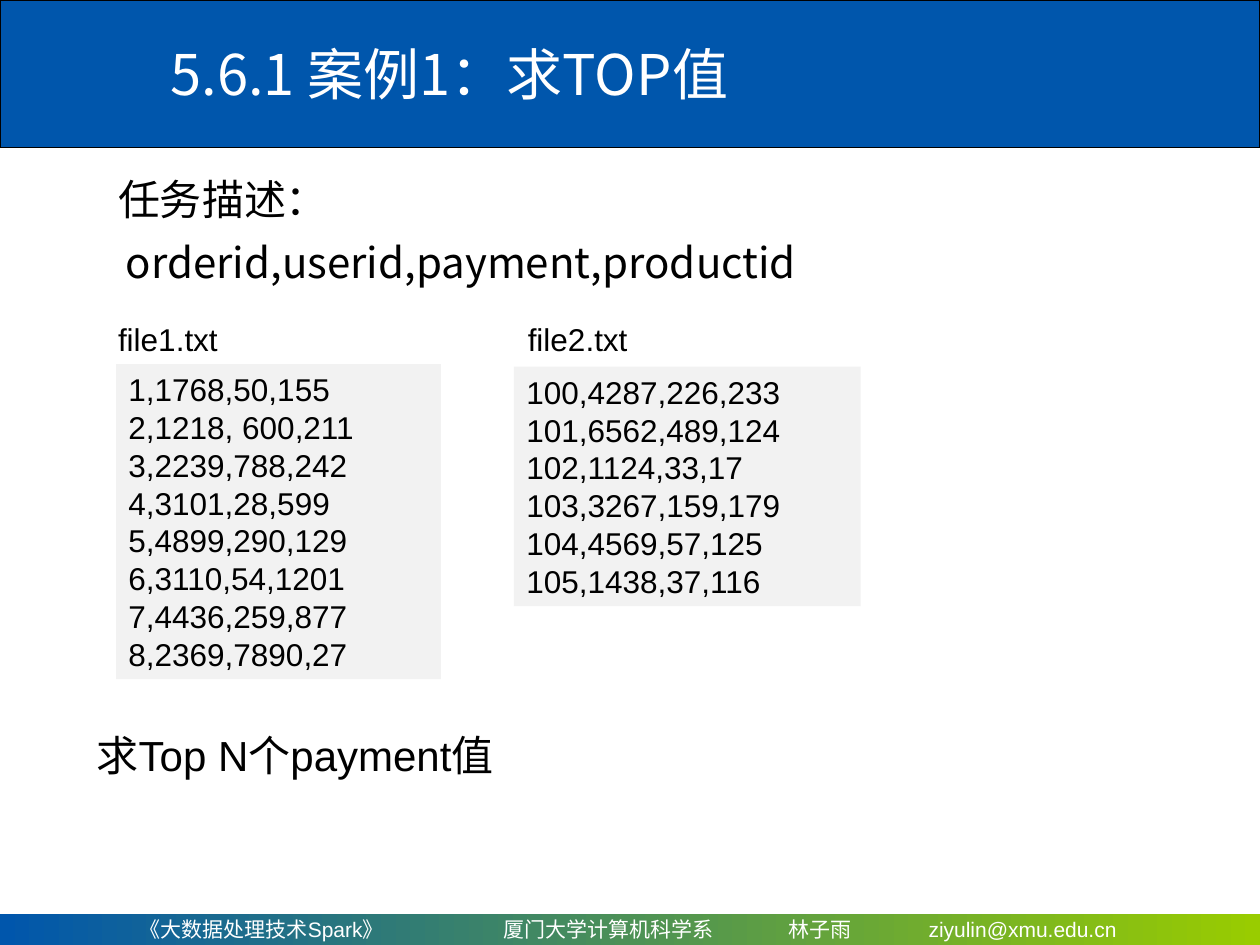
import dataclasses

import lxml.etree
import pptx
import pptx.dml.color
import pptx.enum.dml
import pptx.enum.shapes
import pptx.enum.text
import pptx.oxml.ns
import pptx.util

Cm = pptx.util.Cm
Pt = pptx.util.Pt
RGBColor = pptx.dml.color.RGBColor
Anchor = pptx.enum.text.MSO_ANCHOR
Align = pptx.enum.text.PP_ALIGN
qn = pptx.oxml.ns.qn

BLUE = RGBColor(0x00, 0x56, 0xAC)
GREEN = RGBColor(0x99, 0xCC, 0x00)
GREY = RGBColor(0xF2, 0xF2, 0xF2)
BLACK = RGBColor(0, 0, 0)
WHITE = RGBColor(255, 255, 255)
SANS = "Arial"
HAN = "Noto Sans CJK SC"
WIDTH, HEIGHT = 25.4, 19.05


@dataclasses.dataclass
class Label:
    text: str
    left: float
    top: float
    width: float
    height: float = 1.27
    size: int = 24
    face: str = SANS


@dataclasses.dataclass
class File:
    rows: list[str]
    left: float
    top: float
    width: float
    height: float


LABELS = [
    Label("任务描述：", 2.13, 3.38, 4.72, face=HAN),
    Label("orderid,userid,payment,productid", 2.29, 4.65, 14.02, face=HAN),
    Label("file1.txt", 2.13, 6.32, 2.69, 1.02, 18),
    Label("file2.txt", 10.39, 6.32, 2.69, 1.02, 18),
    Label("求Top N个payment值", 1.7, 14.58, 9.4),
]

FILES = [
    File(["1,1768,50,155", "2,1218, 600,211", "3,2239,788,242",
          "4,3101,28,599", "5,4899,290,129", "6,3110,54,1201",
          "7,4436,259,877", "8,2369,7890,27"], 2.34, 7.34, 6.55, 6.35),
    File(["100,4287,226,233", "101,6562,489,124", "102,1124,33,17",
          "103,3267,159,179", "104,4569,57,125", "105,1438,37,116"],
         10.36, 7.39, 6.99, 4.83),
]

FOOT = ["《大数据处理技术Spark》", "厦门大学计算机科学系", "林子雨", "ziyulin@xmu.edu.cn"]
FOOT_LEFT = 2.82
FOOT_TABS = [10.15, 15.9, 18.72]


def style(par, size: int, face: str = SANS, color: RGBColor = BLACK) -> None:
    """Format a paragraph, with the Han font for East Asian letters."""
    par.alignment = Align.LEFT
    font = par.font
    font.size = Pt(size)
    font.name = face
    font.color.rgb = color
    latin = par._p.pPr.find(qn("a:defRPr")).find(qn("a:latin"))
    east = lxml.etree.Element(qn("a:ea"), typeface=HAN)
    latin.addnext(east)


def add_rect(slide, left: float, top: float, width: float, height: float):
    rect = slide.shapes.add_shape(
        pptx.enum.shapes.MSO_SHAPE.RECTANGLE,
        Cm(left), Cm(top), Cm(width), Cm(height))
    rect.shadow.inherit = False
    rect.line.fill.background()
    return rect


def add_title(slide) -> None:
    band = add_rect(slide, 0, 0, WIDTH, 2.97)
    band.fill.solid()
    band.fill.fore_color.rgb = BLUE
    band.line.color.rgb = BLACK
    band.line.width = Pt(0.75)
    slide.shapes.element.insert(2, band.element)  # behind the title

    title = slide.shapes.title
    title.left, title.top = Cm(3.18), Cm(0.2)
    title.width, title.height = Cm(22.22), Cm(2.54)
    frame = title.text_frame
    frame.text = "5.6.1 案例1：求TOP值"
    frame.vertical_anchor = Anchor.MIDDLE
    style(frame.paragraphs[0], 32, HAN, WHITE)


def add_label(slide, label: Label) -> None:
    box = slide.shapes.add_textbox(
        Cm(label.left), Cm(label.top), Cm(label.width), Cm(label.height))
    frame = box.text_frame
    frame.word_wrap = False
    frame.text = label.text
    style(frame.paragraphs[0], label.size, label.face)


def add_file(slide, file: File) -> None:
    box = add_rect(slide, file.left, file.top, file.width, file.height)
    box.fill.solid()
    box.fill.fore_color.rgb = GREY
    frame = box.text_frame
    frame.vertical_anchor = Anchor.TOP
    frame.word_wrap = True
    frame.text = "\n".join(file.rows)
    for par in frame.paragraphs:
        style(par, 18)
        par.line_spacing = Pt(21.6)


def add_footer(slide) -> None:
    bar = add_rect(slide, 0, 18.42, WIDTH, 0.63)
    bar.fill.gradient()
    bar.fill.gradient_angle = 0
    for stop, color in zip(bar.fill.gradient_stops, (BLUE, GREEN)):
        stop.color.rgb = color

    frame = bar.text_frame
    frame.margin_left = Cm(FOOT_LEFT)
    frame.margin_top = frame.margin_bottom = 0
    frame.vertical_anchor = Anchor.MIDDLE
    frame.word_wrap = True
    frame.text = "\t".join(FOOT)
    par = frame.paragraphs[0]
    tabs = lxml.etree.SubElement(par._p.get_or_add_pPr(), qn("a:tabLst"))
    for place in FOOT_TABS:
        lxml.etree.SubElement(
            tabs, qn("a:tab"), pos=str(Cm(place - FOOT_LEFT)), algn="l")
    style(par, 12, SANS, WHITE)


def main() -> None:
    deck = pptx.Presentation()
    deck.slide_width, deck.slide_height = Cm(WIDTH), Cm(HEIGHT)
    slide = deck.slides.add_slide(deck.slide_layouts[5])
    add_title(slide)
    for file in FILES:
        add_file(slide, file)
    for label in LABELS:
        add_label(slide, label)
    add_footer(slide)
    deck.save("out.pptx")


if __name__ == "__main__":
    main()
